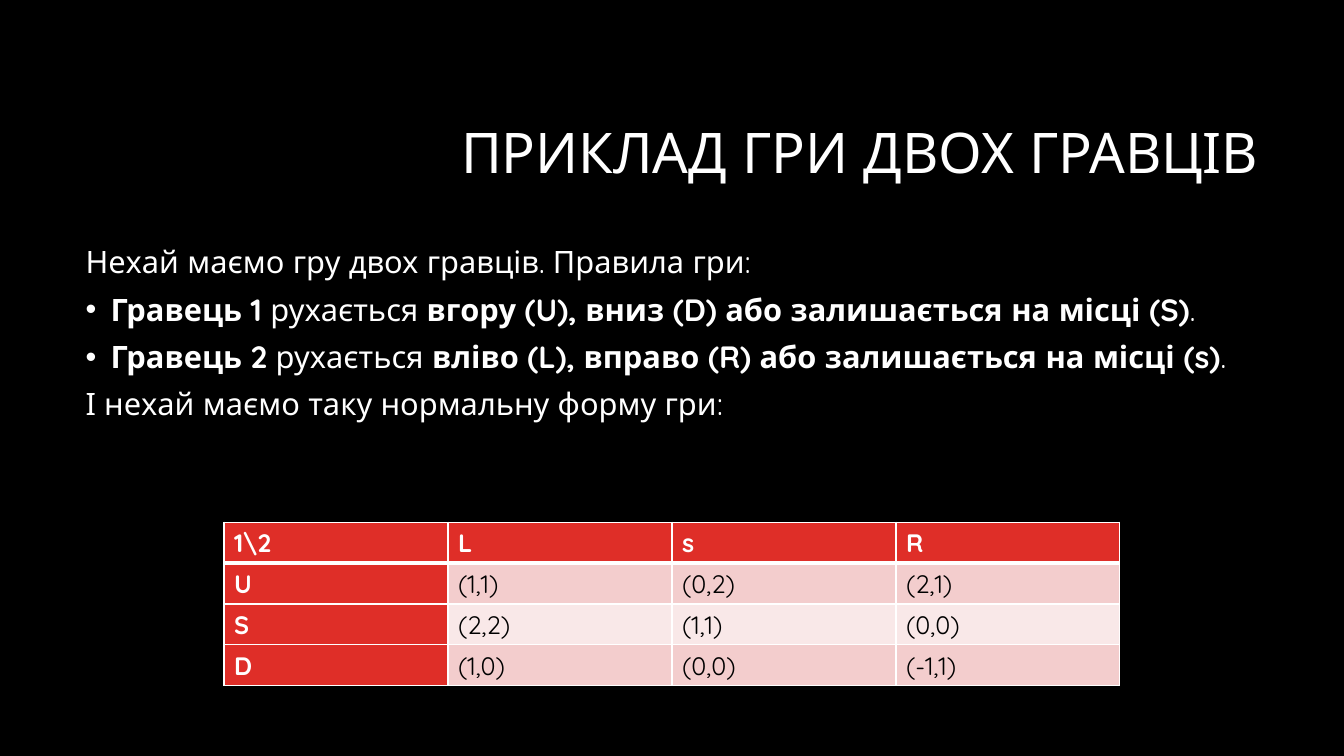
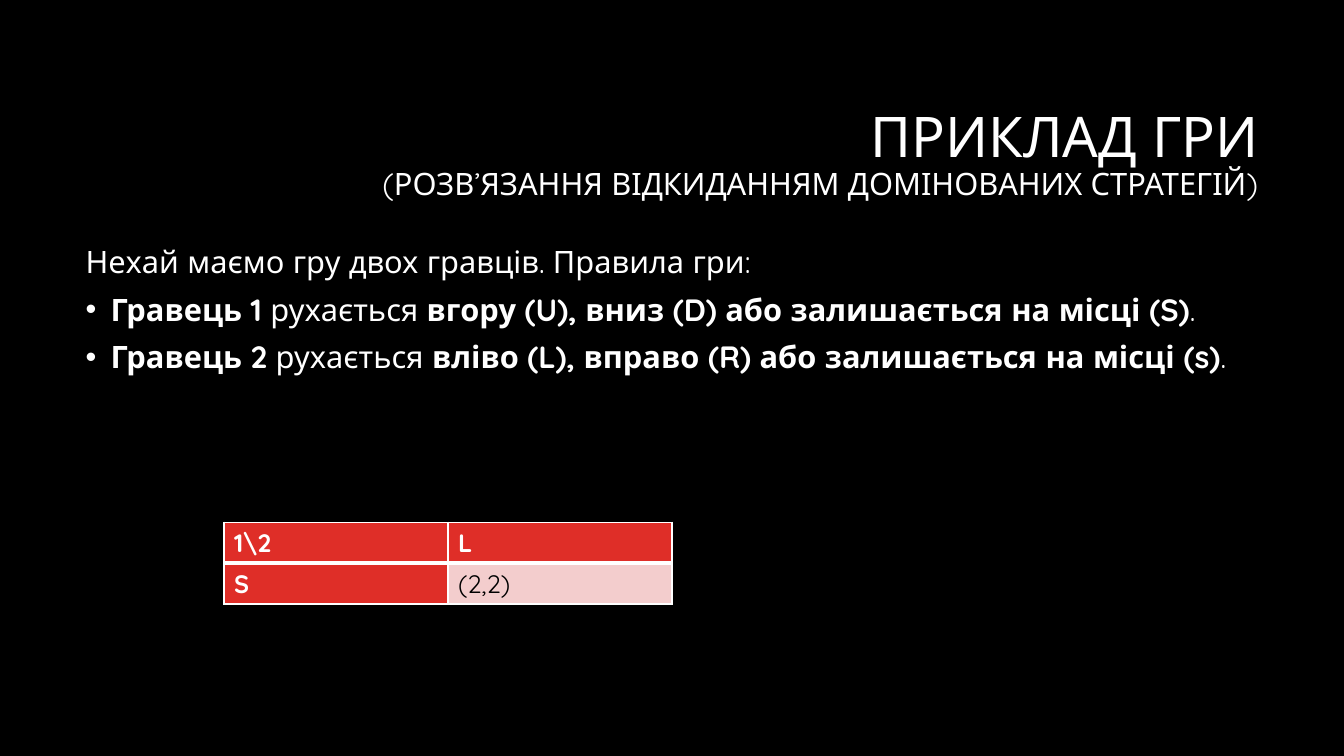
from lxml import etree
from pptx import Presentation
from pptx.dml.color import RGBColor
from pptx.enum import text
from pptx.oxml import ns
from pptx.util import Pt

FONT = "Quicksand"
BLACK, WHITE, RED = "000000", "FFFFFF", "DF2E28"
BANDS = ("F3CDCD", "F9E8E8")
TITLE_BOX = (228, 60.5, 678, 101.5)
BODY_BOX = (54, 173, 852, 317)
TABLE_LEFT, TABLE_TOP = 160, 373
COLUMN_WIDTH, ROW_HEIGHT = 160, 29.2
TITLE_SIZE, BODY_SIZE, CELL_SIZE = 40, 22, 18
INDENT = 18

RULES = [
    "Нехай маємо гру двох гравців. Правила гри:",
    "• *Гравець 1* рухається *вгору (U), вниз (D) або залишається на місці (S)*.",
    "• *Гравець 2* рухається *вліво (L), вправо (R) або залишається на місці (s)*.",
]
FULL_GAME = [
    ["1\\2", "L", "s", "R"],
    ["U", "(1,1)", "(0,2)", "(2,1)"],
    ["S", "(2,2)", "(1,1)", "(0,0)"],
    ["D", "(1,0)", "(0,0)", "(-1,1)"],
]
REDUCED_GAME = [["1\\2", "L"], ["S", "(2,2)"]]


def color(value):
    """Return the colour for a hex string."""
    return RGBColor.from_string(value)


def set_format(target, values):
    """Set each attribute named in a dict of format values."""
    for name, value in values.items():
        setattr(target, name, value)


def add_run(paragraph, content, size, fill=WHITE, bold=False):
    """Add one formatted run to a paragraph."""
    run = paragraph.add_run()
    run.text = content
    set_format(run.font, {"name": FONT, "size": Pt(size), "bold": bold})
    run.font.color.rgb = color(fill)


def add_text_frame(slide, box, anchor):
    """Add a wrapping text box and return its text frame."""
    frame = slide.shapes.add_textbox(*map(Pt, box)).text_frame
    set_format(frame, {"word_wrap": True, "vertical_anchor": anchor})
    return frame


def add_title(slide, title, subtitle=None):
    """Add the right-aligned title with an optional smaller second line."""
    frame = add_text_frame(slide, TITLE_BOX, text.MSO_ANCHOR.MIDDLE)
    paragraph = frame.paragraphs[0]
    set_format(paragraph, {"alignment": text.PP_ALIGN.RIGHT, "line_spacing": 0.9})
    add_run(paragraph, title, TITLE_SIZE)
    if subtitle:
        paragraph.add_line_break()
        add_run(paragraph, subtitle, BODY_SIZE)


def add_bullet(paragraph):
    """Give a paragraph a hanging bullet."""
    properties = paragraph._p.get_or_add_pPr()
    properties.set("marL", str(Pt(INDENT)))
    properties.set("indent", str(-Pt(INDENT)))
    etree.SubElement(properties, ns.qn("a:buFont"), typeface="Arial")
    etree.SubElement(properties, ns.qn("a:buChar"), char="•")


def add_body(slide, lines):
    """Add body lines, where asterisks enclose bold text."""
    frame = add_text_frame(slide, BODY_BOX, text.MSO_ANCHOR.TOP)
    for index, line in enumerate(lines):
        paragraph = frame.add_paragraph() if index else frame.paragraphs[0]
        set_format(paragraph, {"line_spacing": 0.9, "space_before": Pt(10 if index else 0)})
        if line.startswith("• "):
            add_bullet(paragraph)
        for part, content in enumerate(line.removeprefix("• ").split("*")):
            if content:
                add_run(paragraph, content, BODY_SIZE, bold=part % 2 == 1)


def add_borders(cell, widths):
    """Draw white cell borders with a width for each side."""
    properties = cell._tc.get_or_add_tcPr()
    for side, width in widths.items():
        line = etree.SubElement(properties, ns.qn(f"a:ln{side}"), w=str(Pt(width)))
        fill = etree.SubElement(line, ns.qn("a:solidFill"))
        etree.SubElement(fill, ns.qn("a:srgbClr"), val=WHITE)


def add_payoff_table(slide, rows):
    """Add a payoff table with red headers and banded values."""
    row_count, column_count = len(rows), len(rows[0])
    size = (COLUMN_WIDTH * column_count, ROW_HEIGHT * row_count)
    frame = slide.shapes.add_table(
        row_count, column_count, *map(Pt, (TABLE_LEFT, TABLE_TOP, *size)))
    table = frame.table
    table.first_col = True
    for row, values in enumerate(rows):
        for column, value in enumerate(values):
            cell = table.cell(row, column)
            header = row == 0 or column == 0
            add_borders(cell, {"L": 1, "R": 1, "T": 3 if row == 1 else 1,
                               "B": 3 if row == 0 else 1})
            cell.fill.solid()
            cell.fill.fore_color.rgb = color(RED if header else BANDS[(row - 1) % 2])
            add_run(cell.text_frame.paragraphs[0], value, CELL_SIZE,
                    WHITE if header else BLACK, header)


def add_game_slide(presentation, titles, lines, rows):
    """Add a slide with a title, game rules and a payoff table."""
    slide = presentation.slides.add_slide(presentation.slide_layouts[6])
    add_title(slide, *titles)
    add_body(slide, lines)
    add_payoff_table(slide, rows)


def main():
    """Build and save the presentation."""
    presentation = Presentation()
    set_format(presentation, {"slide_width": Pt(960), "slide_height": Pt(540)})
    background = presentation.slide_master.background.fill
    background.solid()
    background.fore_color.rgb = color(BLACK)
    add_game_slide(presentation, ["ПРИКЛАД ГРИ ДВОХ ГРАВЦІВ"],
                   RULES + ["І нехай маємо таку нормальну форму гри:"], FULL_GAME)
    add_game_slide(presentation,
                   ["ПРИКЛАД ГРИ", "(РОЗВ’ЯЗАННЯ ВІДКИДАННЯМ ДОМІНОВАНИХ СТРАТЕГІЙ)"],
                   RULES, REDUCED_GAME)
    presentation.save("out.pptx")


if __name__ == "__main__":
    main()
